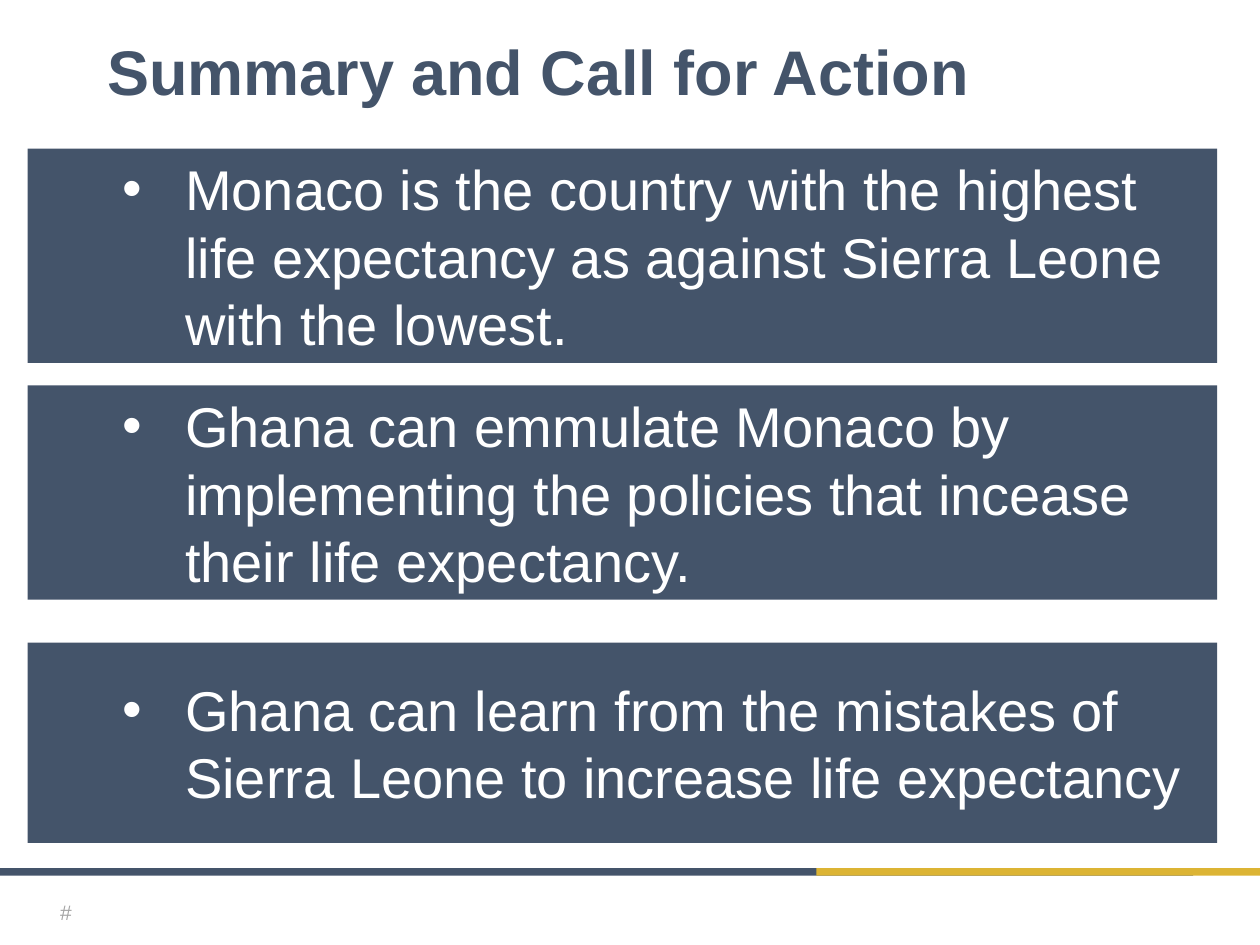
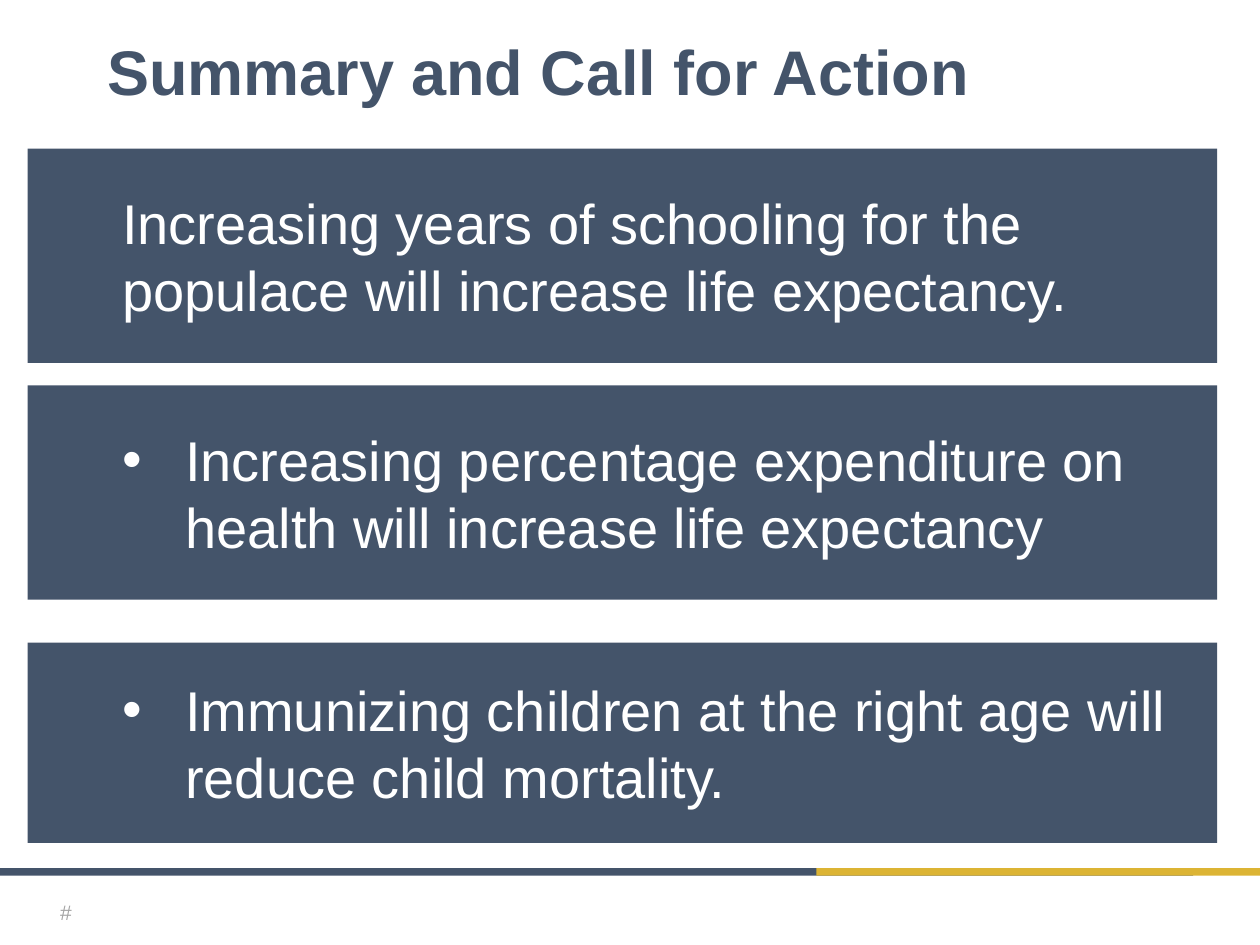
"""Build two summary slides with stacked message bands."""
from lxml.etree import SubElement
from pptx import Presentation
from pptx.dml.color import RGBColor
from pptx.enum.shapes import MSO_SHAPE as Shape
from pptx.enum.text import MSO_ANCHOR as Anchor, MSO_AUTO_SIZE as AutoSize, PP_ALIGN as Align
from pptx.oxml.ns import qn
from pptx.util import Inches, Pt

NAVY = RGBColor(0x44, 0x54, 0x6A)
GOLD = RGBColor(0xDC, 0xB4, 0x34)
GRAY = RGBColor(0xA5, 0xA5, 0xA5)
WHITE = RGBColor(0xFF, 0xFF, 0xFF)

TITLE_FONT = {"name": "Arial", "size": Pt(36), "bold": True}
BAND_FONT = {"name": "Arial", "size": Pt(32), "bold": False}
NUMBER_FONT = {"name": "Arial", "size": Pt(12), "bold": False}

TITLE_BOX = (0.75, 0.29, 8.9, 0.54)
NUMBER_BOX = (0.22, 7.04, 0.4, 0.4)
FOOTER_BARS = [((0, 6.89, 9.47, 0.06), NAVY), ((6.48, 6.89, 3.52, 0.06), GOLD)]
BAND_LEFT, BAND_WIDTH = 0.22, 9.44
BAND_ROWS = [(1.18, 1.7), (3.06, 1.7), (5.1, 1.59)]
BAND_MARGINS = (0.75, 0.05, 0.22, 0.05)
BULLET_INDENT = Inches(0.5)

TITLE = "Summary and Call for Action"
SLIDES = [
    [
        ("Monaco is the country with the highest life expectancy as against "
         "Sierra Leone with the lowest.", True),
        ("Ghana can emmulate Monaco by implementing the policies that incease "
         "their life expectancy.", True),
        ("Ghana can learn from the mistakes of Sierra Leone to increase life "
         "expectancy", True),
    ],
    [
        ("Increasing years of schooling for the populace will increase life "
         "expectancy.", False),
        ("Increasing percentage expenditure on health will increase life "
         "expectancy", True),
        ("Immunizing children at the right age will reduce child mortality.", True),
    ],
]


def set_values(target, values):
    """Set each attribute named in a dict."""
    for name, value in values.items():
        setattr(target, name, value)


def inches(box):
    """Turn a box of numbers into lengths."""
    return [Inches(value) for value in box]


def write_text(shape, text, font, color, align=Align.LEFT, margins=(0.1, 0.05, 0.1, 0.05)):
    """Fill a shape with one formatted paragraph and return it."""
    frame = shape.text_frame
    sides = ("margin_left", "margin_top", "margin_right", "margin_bottom")
    set_values(frame, dict(zip(sides, inches(margins))))
    set_values(frame, {"word_wrap": True, "auto_size": AutoSize.NONE,
                       "vertical_anchor": Anchor.MIDDLE})
    paragraph = frame.paragraphs[0]
    paragraph.alignment = align
    run = paragraph.add_run()
    run.text = text
    set_values(run.font, font)
    run.font.color.rgb = color
    return paragraph


def add_bullet(paragraph):
    """Give a paragraph a white hanging bullet."""
    properties = paragraph._p.get_or_add_pPr()
    properties.set("marL", str(BULLET_INDENT))
    properties.set("indent", str(-BULLET_INDENT))
    color = SubElement(properties, qn("a:buClr"))
    SubElement(color, qn("a:srgbClr"), val=str(WHITE))
    SubElement(properties, qn("a:buFont"), typeface="Arial")
    SubElement(properties, qn("a:buChar"), char="•")


def add_bar(slide, box, color):
    """Add a plain filled rectangle."""
    bar = slide.shapes.add_shape(Shape.RECTANGLE, *inches(box))
    bar.shadow.inherit = False
    bar.fill.solid()
    bar.fill.fore_color.rgb = color
    bar.line.fill.background()
    return bar


def add_band(slide, top, height, text, bulleted):
    """Add one message band."""
    band = add_bar(slide, (BAND_LEFT, top, BAND_WIDTH, height), NAVY)
    paragraph = write_text(band, text, BAND_FONT, WHITE, margins=BAND_MARGINS)
    if bulleted:
        add_bullet(paragraph)


def add_title(slide):
    """Place and write the slide title."""
    title = slide.shapes.title
    set_values(title, dict(zip(("left", "top", "width", "height"), inches(TITLE_BOX))))
    write_text(title, TITLE, TITLE_FONT, NAVY)


def add_footer(slide):
    """Add the two-colour rule and the number mark."""
    for box, color in FOOTER_BARS:
        add_bar(slide, box, color)
    number = slide.shapes.add_textbox(*inches(NUMBER_BOX))
    write_text(number, "#", NUMBER_FONT, GRAY, Align.RIGHT, (0.1, 0.05, 0.05, 0.05))


def main():
    """Build and save the presentation."""
    presentation = Presentation()
    set_values(presentation, {"slide_width": Inches(10), "slide_height": Inches(7.5)})
    for messages in SLIDES:
        slide = presentation.slides.add_slide(presentation.slide_layouts[5])
        add_footer(slide)
        add_title(slide)
        for (top, height), (text, bulleted) in zip(BAND_ROWS, messages):
            add_band(slide, top, height, text, bulleted)
    presentation.save("out.pptx")


if __name__ == "__main__":
    main()
